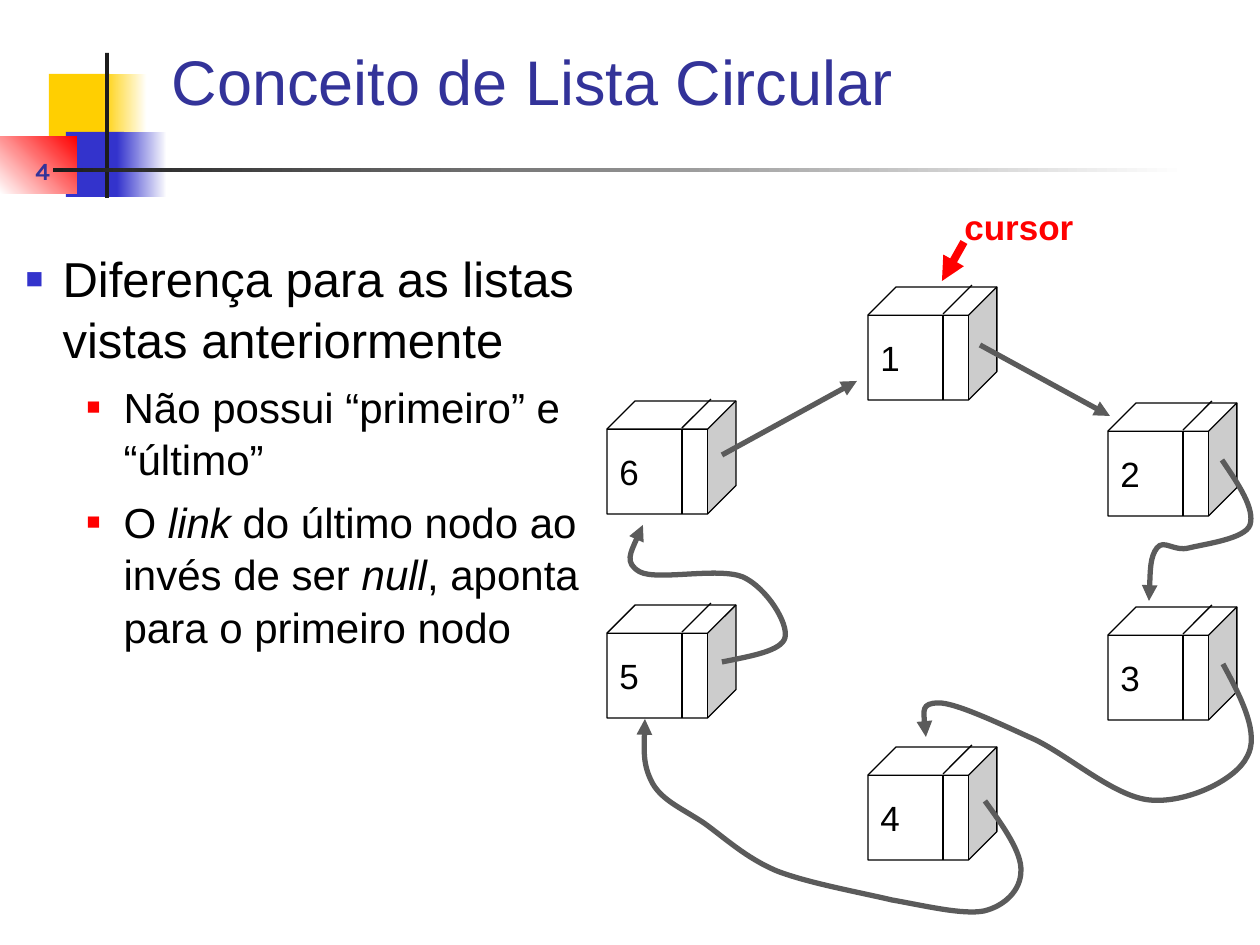
"""Build a slide that explains the circular linked list with a six-node diagram."""
from lxml import etree
from pptx import Presentation
from pptx.dml.color import RGBColor
from pptx.enum.shapes import MSO_CONNECTOR, MSO_SHAPE
from pptx.enum.text import MSO_ANCHOR, MSO_AUTO_SIZE, PP_ALIGN
from pptx.oxml.ns import qn
from pptx.util import Inches, Pt

RECTANGLE, CUBE = MSO_SHAPE.RECTANGLE, MSO_SHAPE.CUBE
STRAIGHT = MSO_CONNECTOR.STRAIGHT
MIDDLE, BOTTOM = MSO_ANCHOR.MIDDLE, MSO_ANCHOR.BOTTOM
LEFT, CENTER, RIGHT = PP_ALIGN.LEFT, PP_ALIGN.CENTER, PP_ALIGN.RIGHT
PX = 7257
COLORS = {
    "yellow": "FFCF01", "blue": "3333CC", "red": "FF0000", "rule": "1C1C1C",
    "title": "333399", "black": "000000", "white": "FFFFFF", "link": "5B5B5B",
}
RGB = {name: RGBColor.from_string(value) for name, value in COLORS.items()}


def set_font(paragraph, size, color, bold=False, name="Arial"):
    font = paragraph.font
    font.name, font.size, font.bold = name, Pt(size), bold
    font.color.rgb = RGB[color]


def set_stroke(shape, color, width, arrow=False):
    shape.line.color.rgb = RGB[color]
    shape.line.width = Pt(width)
    properties = shape._element.spPr
    if arrow:
        etree.SubElement(properties.find(qn("a:ln")), qn("a:tailEnd"), type="triangle")
    etree.SubElement(properties, qn("a:effectLst"))


presentation = Presentation()
presentation.slide_width, presentation.slide_height = Inches(10), Inches(7.5)
slide = presentation.slides.add_slide(presentation.slide_layouts[1])
shapes = slide.shapes

decorations = [
    (49, 74, 61, 66, ["yellow"], 0),
    (102, 74, 45, 66, ["yellow", "white"], 0),
    (66, 132, 58, 65, ["blue"], 0),
    (117, 132, 50, 65, ["blue", "white"], 0),
    (0, 136, 77, 58, ["white", "red"], 45),
    (105, 53, 4, 145, ["rule"], 0),
    (53, 168, 1134, 4, ["rule", "white"], 0),
]
for left, top, width, height, colors, angle in decorations:
    shape = shapes.add_shape(RECTANGLE, left * PX, top * PX, width * PX, height * PX)
    shape.shadow.inherit = False
    shape.line.fill.background()
    if len(colors) == 1:
        shape.fill.solid()
        shape.fill.fore_color.rgb = RGB[colors[0]]
    else:
        shape.fill.gradient()
        shape.fill.gradient_angle = angle
        for stop, color in zip(shape.fill.gradient_stops, colors):
            stop.color.rgb = RGB[color]

labels = [
    ("4", 0, 154, 50, 34, RIGHT, 14, "title", "Karla", 0),
    ("cursor", 948, 199, 142, 55, CENTER, 20, "red", "Arial", 12),
]
for text, left, top, width, height, alignment, size, color, name, inset in labels:
    frame = shapes.add_textbox(left * PX, top * PX, width * PX, height * PX).text_frame
    frame.word_wrap = True
    frame.vertical_anchor = MIDDLE
    frame.margin_left = frame.margin_right = inset * PX
    frame.margin_top = frame.margin_bottom = 0
    paragraph = frame.paragraphs[0]
    paragraph.text = text
    paragraph.alignment = alignment
    set_font(paragraph, size, color, True, name)

title = shapes.title
title.left, title.top, title.width, title.height = 159 * PX, 33 * PX, 1079 * PX, 91 * PX
title.text_frame.vertical_anchor = BOTTOM
title.text_frame.auto_size = MSO_AUTO_SIZE.NONE
paragraph = title.text_frame.paragraphs[0]
paragraph.text = "Conceito de Lista Circular"
paragraph.alignment = LEFT
set_font(paragraph, 36, "title")

body = slide.placeholders[1]
body.left, body.top, body.width, body.height = 13 * PX, 240 * PX, 581 * PX, 677 * PX
frame = body.text_frame
frame.auto_size = MSO_AUTO_SIZE.NONE
bullets = [
    (0, ["Diferença para as listas vistas anteriormente"]),
    (1, ["Não possui “primeiro” e “último”"]),
    (1, ["O ", "link ", "do último nodo ao invés de ser ", "null",
         ", aponta para o primeiro nodo"]),
]
levels = [(37, "blue", 60, 28, 0), (98, "red", 55, 24, 6)]
for index, (level, texts) in enumerate(bullets):
    margin, color, percent, size, space = levels[level]
    paragraph = frame.add_paragraph() if index else frame.paragraphs[0]
    paragraph.level = level
    properties = paragraph._p.get_or_add_pPr()
    properties.set("marL", str(margin * PX))
    properties.set("indent", str(-37 * PX))
    bullet_color = etree.SubElement(properties, qn("a:buClr"))
    etree.SubElement(bullet_color, qn("a:srgbClr"), val=COLORS[color])
    etree.SubElement(properties, qn("a:buSzPct"), val=str(percent * 1000))
    etree.SubElement(properties, qn("a:buFont"), typeface="Arial")
    etree.SubElement(properties, qn("a:buChar"), char="■")
    paragraph.space_before = Pt(space)
    paragraph.line_spacing = 1.04
    set_font(paragraph, size, "black")
    for position, text in enumerate(texts):
        run = paragraph.add_run()
        run.text = text
        if position % 2:
            run.font.italic = True

nodes = [(868, 287), (1108, 403), (1108, 607), (868, 747), (607, 605), (607, 401)]
for number, (left, top) in enumerate(nodes, 1):
    node = shapes.add_shape(CUBE, left * PX, top * PX, 129 * PX, 113 * PX)
    node.adjustments[0] = 0.25
    node.fill.solid()
    node.fill.fore_color.rgb = RGB["white"]
    set_stroke(node, "black", 0.75)
    node.text_frame.vertical_anchor = MIDDLE
    paragraph = node.text_frame.paragraphs[0]
    paragraph.text = str(number)
    paragraph.alignment = LEFT
    set_font(paragraph, 20, "black")
    for x1, y1, x2, y2 in [(75, 29, 75, 113), (75, 27, 104, -2)]:
        divider = shapes.add_connector(STRAIGHT, (left + x1) * PX, (top + y1) * PX,
                                       (left + x2) * PX, (top + y2) * PX)
        set_stroke(divider, "black", 0.75)

arrows = [
    (980, 345, 1110, 416, "link", 3),
    (722, 455, 857, 381, "link", 3),
    (964, 242, 942, 281, "red", 4.5),
]
for x1, y1, x2, y2, color, width in arrows:
    arrow = shapes.add_connector(STRAIGHT, x1 * PX, y1 * PX, x2 * PX, y2 * PX)
    set_stroke(arrow, color, width, True)

curved_links = [
    [(985, 801), (1004, 827), (1022, 853), (1021, 871), (1021, 890), (1005, 906),
     (984, 911), (963, 915), (926, 906), (892, 900), (858, 892), (808, 883),
     (777, 871), (746, 858), (725, 838), (704, 823), (683, 809), (663, 801),
     (653, 784), (643, 766), (644, 743), (645, 719)],
    [(1223, 664), (1242, 699), (1260, 735), (1247, 757), (1236, 780), (1186, 804),
     (1149, 800), (1112, 796), (1065, 752), (1029, 737), (994, 721), (955, 703),
     (939, 703), (921, 703), (924, 719), (926, 737)],
    [(1222, 460), (1239, 485), (1255, 509), (1250, 525), (1245, 539), (1205, 544),
     (1189, 548), (1174, 552), (1164, 539), (1157, 548), (1150, 557), (1150, 580),
     (1149, 601)],
    [(722, 662), (752, 656), (781, 651), (785, 638), (789, 624), (767, 588),
     (743, 577), (718, 567), (658, 581), (640, 572), (624, 563), (634, 545),
     (643, 525)],
]
for start, *points in curved_links:
    builder = shapes.build_freeform(*start, scale=PX)
    builder.add_line_segments(points, close=False)
    curve = builder.convert_to_shape()
    outline = curve._element.spPr.find(".//" + qn("a:path"))
    segments = outline.findall(qn("a:lnTo"))
    for first in range(0, len(segments), 3):
        bezier = etree.SubElement(outline, qn("a:cubicBezTo"))
        for segment in segments[first:first + 3]:
            bezier.append(segment[0])
            outline.remove(segment)
    curve.fill.background()
    set_stroke(curve, "link", 3, True)

presentation.save("out.pptx")
